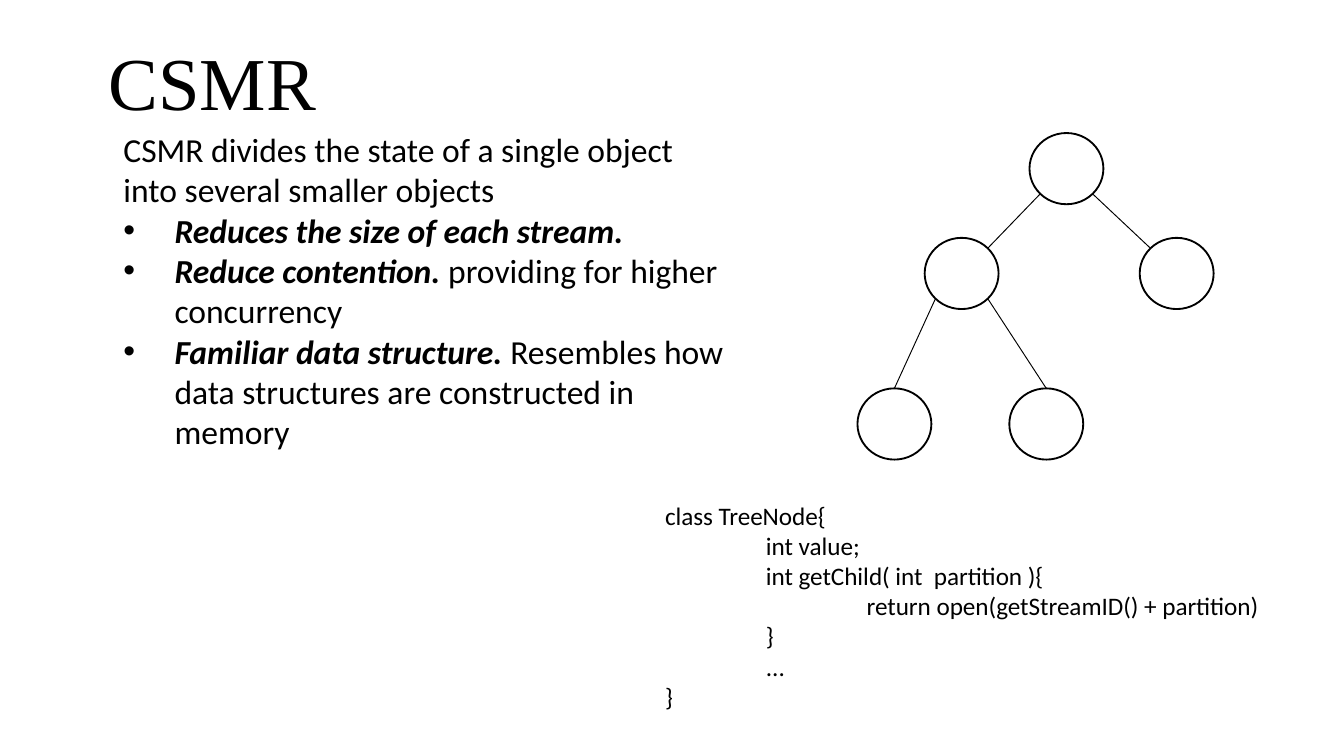
from lxml import etree
from pptx import Presentation
from pptx import util as u
from pptx.dml.color import RGBColor
from pptx.enum import shapes, text
from pptx.oxml.ns import qn

COL = {"ink": "000000"}
INK = RGBColor.from_string(COL["ink"])

# Widescreen page, 16 to 9
deck = Presentation()
deck.slide_width = u.Inches(10)
deck.slide_height = u.Inches(10 * 9 / 16)
slide = deck.slides.add_slide(deck.slide_layouts[6])


def write(paras, box, size, font="Calibri", wrap=True, space=None, bullet=(), tab=None):
    """Add a text box; each paragraph is a list of (words, strong) runs."""
    frame = slide.shapes.add_textbox(*map(u.Inches, box)).text_frame
    frame.word_wrap = wrap
    frame.auto_size = text.MSO_AUTO_SIZE.SHAPE_TO_FIT_TEXT
    for n, runs in enumerate(paras):
        para = frame.add_paragraph() if n else frame.paragraphs[0]
        para.line_spacing = space
        props = para._p.get_or_add_pPr()
        if tab:
            props.set("defTabSz", str(u.Inches(tab)))
        if n in bullet:
            props.set("marL", str(u.Inches(0.38)))
            props.set("indent", str(u.Inches(-0.38)))
            etree.SubElement(props, qn("a:buFont"), typeface="Arial")
            etree.SubElement(props, qn("a:buChar"), char="•")
        for words, strong in runs:
            run = para.add_run()
            run.text = words
            run.font.name, run.font.size = font, u.Pt(size)
            run.font.bold = run.font.italic = strong
            run.font.color.rgb = INK
    return frame


# Title, ending in a small space
title = write([[("CSMR", False), (" ", False)]], (0.71, 0.35, 1.74, 0.64), 40,
              font="Times New Roman", wrap=False, space=0.8)
gap = title.paragraphs[0].runs[1].font
gap.size = u.Pt(20)
gap._element.set("spc", "450")

# Benefits
write([
    [("CSMR divides the state of a single object", False)],
    [("into several smaller objects", False)],
    [("Reduces the size of each stream.", True)],
    [("Reduce contention. ", True), ("providing for higher concurrency", False)],
    [("Familiar data structure.", True),
     (" Resembles how data structures are constructed in memory", False)],
], (0.82, 0.91, 4.81, 2.52), 18, bullet=(2, 3, 4))

# Tree nodes
WIDE, HIGH = 0.55, 0.53
nodes = {"left": (6.88, 1.77), "root": (7.66, 0.99), "right": (8.48, 1.77),
         "leaf1": (6.38, 2.89), "leaf2": (7.51, 2.89)}
for x, y in nodes.values():
    node = slide.shapes.add_shape(shapes.MSO_SHAPE.OVAL, *map(u.Inches, (x, y, WIDE, HIGH)))
    node.shadow.inherit = False
    node.fill.background()
    node.line.color.rgb, node.line.width = INK, u.Pt(1)


def rim(name, dx, dy):
    """Point on a node's rim, in the given direction from its centre."""
    x, y = nodes[name]
    return u.Inches(x + WIDE / 2 * (1 + dx)), u.Inches(y + HIGH / 2 * (1 + dy))


# Tree edges
D = 0.5 ** 0.5
edges = [("root", -D, "left", (D, -D)), ("root", D, "right", (-D, -D)),
         ("left", -D, "leaf1", (0, -1)), ("left", D, "leaf2", (0, -1))]
for top, side, low, way in edges:
    edge = slide.shapes.add_connector(
        shapes.MSO_CONNECTOR.STRAIGHT, *rim(top, side, D), *rim(low, *way))
    edge.line.color.rgb, edge.line.width = INK, u.Pt(0.5)
    etree.SubElement(edge._element.spPr, qn("a:effectLst"))

# Code sample
code = """class TreeNode{
\tint value;
\tint getChild( int  partition ){
\t\treturn open(getStreamID() + partition)
\t}
\t...
}"""
write([[(line, False)] for line in code.split("\n")],
      (4.85, 3.67, 4.69, 1.69), 13.5, tab=0.75)

deck.save("out.pptx")
